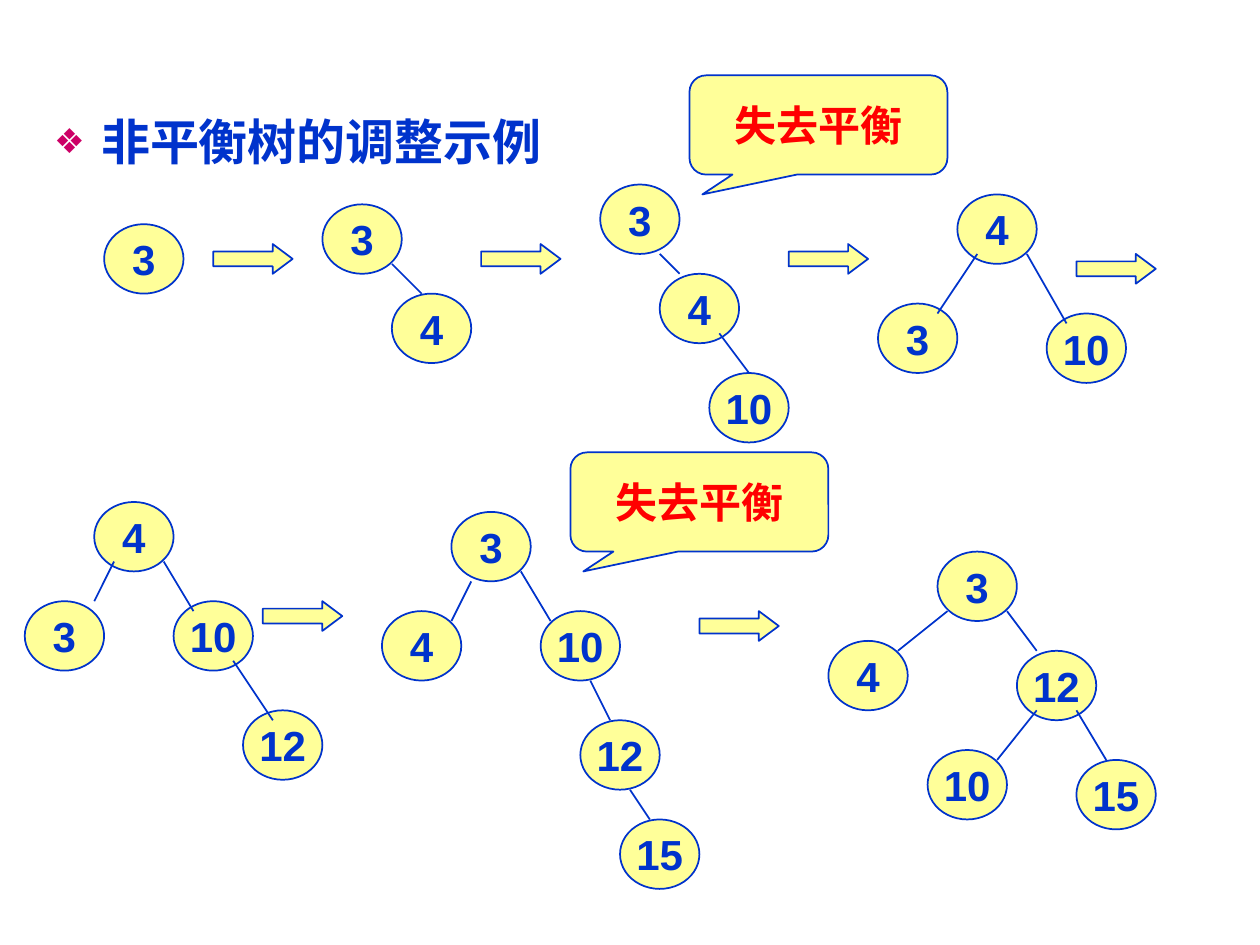
from dataclasses import dataclass

from lxml.etree import SubElement
from pptx import Presentation
from pptx.dml.color import RGBColor
from pptx.enum.shapes import MSO_CONNECTOR, MSO_SHAPE
from pptx.enum.text import MSO_ANCHOR, PP_ALIGN
from pptx.oxml.ns import qn
from pptx.util import Cm, Pt


@dataclass(frozen=True)
class Theme:
    ink: RGBColor = RGBColor(0x00, 0x33, 0xCC)
    paper: RGBColor = RGBColor(0xFF, 0xFF, 0x99)
    alert: RGBColor = RGBColor(0xFF, 0x00, 0x00)
    bullet: str = "CC0066"
    font: str = "Arial"
    title_size: Pt = Pt(28)
    label_size: Pt = Pt(24)
    outline: Pt = Pt(1)


theme = Theme()


def write(paragraph, text, size, color):
    paragraph.text = text
    font = paragraph.font
    font.name, font.size, font.bold = theme.font, size, True
    font.color.rgb = color


def add_figure(parent, preset, left, top, width, height, text="", color=theme.ink):
    figure = parent.add_shape(preset, Cm(left), Cm(top), Cm(width), Cm(height))
    figure.shadow.inherit = False
    figure.fill.solid()
    figure.fill.fore_color.rgb = theme.paper
    figure.line.color.rgb = theme.ink
    figure.line.width = theme.outline
    if text:
        frame = figure.text_frame
        frame.vertical_anchor = MSO_ANCHOR.MIDDLE
        frame.word_wrap = preset != MSO_SHAPE.OVAL
        frame.paragraphs[0].alignment = PP_ALIGN.CENTER
        write(frame.paragraphs[0], text, theme.label_size, color)
    return figure


deck = Presentation()
deck.slide_width, deck.slide_height = Cm(25.4), Cm(19.05)
shapes = deck.slides.add_slide(deck.slide_layouts[6]).shapes

# Heading with a diamond bullet
heading = shapes.add_textbox(Cm(0.84), Cm(2.13), Cm(23.72), Cm(14.17)).text_frame
heading.word_wrap = True
topic = heading.paragraphs[0]
bullet_props = topic._p.get_or_add_pPr()
bullet_props.set("marL", str(Cm(0.95)))
bullet_props.set("indent", str(Cm(-0.95)))
bullet_color = SubElement(bullet_props, qn("a:buClr"))
SubElement(bullet_color, qn("a:srgbClr"), val=theme.bullet)
SubElement(bullet_props, qn("a:buSzPct"), val="70000")
SubElement(bullet_props, qn("a:buFont"), typeface=theme.font)
SubElement(bullet_props, qn("a:buChar"), char="❖")
write(topic, "非平衡树的调整示例", theme.title_size, theme.ink)

# Trees, one per step: nodes (key, left, top) and edges (x1, y1, x2, y2), in cm
NODE_W, NODE_H = 1.6, 1.4
trees = [
    ([(3, 2.1, 4.52)], []),
    ([(3, 6.5, 4.12), (4, 7.9, 5.92)],
     [(7.9, 5.32, 8.5, 5.92)]),
    ([(3, 12.1, 3.72), (4, 13.3, 5.52), (10, 14.3, 7.52)],
     [(13.3, 5.12, 13.7, 5.52), (14.5, 6.72, 15.1, 7.52)]),
    ([(4, 19.3, 3.92), (3, 17.7, 6.12), (10, 21.1, 6.32)],
     [(19.7, 5.12, 18.9, 6.32), (20.7, 5.12, 21.5, 6.52)]),
    ([(4, 1.9, 10.12), (3, 0.5, 12.12), (10, 3.5, 12.12), (12, 4.9, 14.32)],
     [(2.3, 11.32, 1.9, 12.12), (3.3, 11.32, 3.9, 12.32),
      (4.7, 13.32, 5.5, 14.52)]),
    ([(3, 9.1, 10.32), (4, 7.7, 12.32), (10, 10.9, 12.32), (12, 11.7, 14.52),
      (15, 12.5, 16.52)],
     [(9.5, 11.72, 9.1, 12.52), (10.5, 11.52, 11.1, 12.52),
      (11.9, 13.72, 12.3, 14.52), (12.7, 15.92, 13.1, 16.52)]),
    ([(3, 18.9, 11.12), (4, 16.7, 12.92), (12, 20.5, 13.12), (10, 18.7, 15.12),
      (15, 21.7, 15.32)],
     [(19.1, 12.32, 18.1, 13.12), (20.3, 12.32, 20.9, 13.12),
      (20.9, 14.32, 20.1, 15.32), (21.7, 14.32, 22.3, 15.32)]),
]
for nodes, edges in trees:
    tree = shapes.add_group_shape().shapes if edges else shapes
    for key, left, top in nodes:
        add_figure(tree, MSO_SHAPE.OVAL, left, top, NODE_W, NODE_H, str(key))
    for ends in edges:
        edge = tree.add_connector(MSO_CONNECTOR.STRAIGHT, *map(Cm, ends))
        edge.line.color.rgb = theme.ink
        edge.line.width = theme.outline
        SubElement(edge._element.spPr, qn("a:effectLst"))

# Arrows from each step to the next
for left, top in [(4.3, 4.92), (9.7, 4.92), (15.9, 4.92), (21.7, 5.12),
                  (5.3, 12.12), (14.1, 12.32)]:
    arrow = add_figure(shapes, MSO_SHAPE.RIGHT_ARROW, left, top, 1.6, 0.6)
    arrow.adjustments[1] = 0.67

# Callouts on the steps that lose balance
for left, top in [(13.9, 1.52), (11.5, 9.12)]:
    warning = add_figure(shapes, MSO_SHAPE.ROUNDED_RECTANGULAR_CALLOUT,
                         left, top, 5.2, 2, "失去平衡", theme.alert)
    warning.adjustments[0] = -0.45
    warning.adjustments[1] = 0.7

deck.save("out.pptx")
